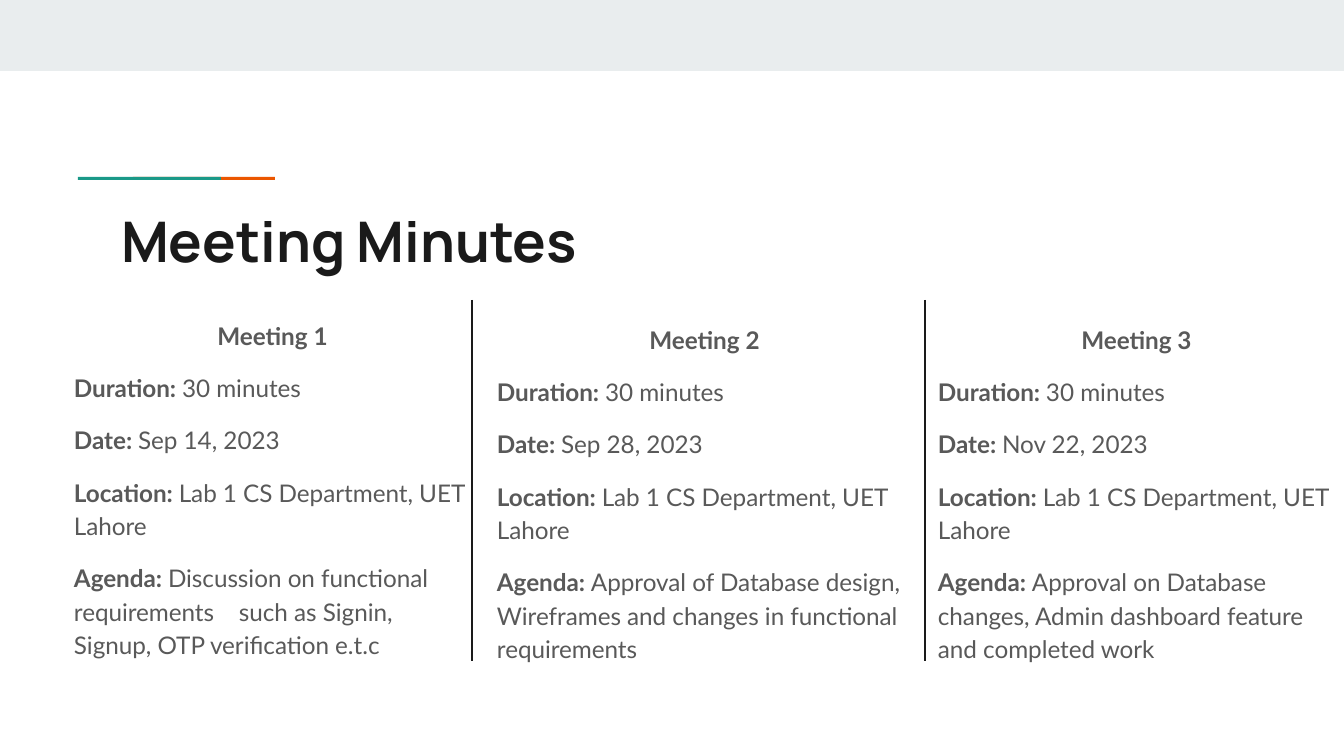
from dataclasses import dataclass

from lxml import etree
from pptx import Presentation
from pptx.dml.color import RGBColor
from pptx.enum.shapes import MSO_CONNECTOR, MSO_SHAPE
from pptx.enum.text import MSO_ANCHOR, MSO_AUTO_SIZE, PP_ALIGN
from pptx.oxml.ns import qn
from pptx.util import Emu, Pt

RECTANGLE = MSO_SHAPE.RECTANGLE
STRAIGHT = MSO_CONNECTOR.STRAIGHT
TOP = MSO_ANCHOR.TOP
NO_AUTOFIT = MSO_AUTO_SIZE.NONE
LEFT, CENTER = PP_ALIGN.LEFT, PP_ALIGN.CENTER

# Content
TITLE = "Meeting Minutes"
LOCATION = "Lab 1 CS Department, UET Lahore"
MEETINGS = [
    ("30 minutes", "Sep 14, 2023", LOCATION,
     "Discussion on functional requirements\tsuch as Signin, "
     "Signup, OTP verification e.t.c"),
    ("30 minutes", "Sep 28, 2023", LOCATION,
     "Approval of Database design, Wireframes and changes in "
     "functional requirements"),
    ("30 minutes", "Nov 22, 2023", LOCATION,
     "Approval on Database changes, Admin dashboard feature "
     "and completed work"),
]
LABELS = ("Duration", "Date", "Location", "Agenda")


@dataclass(frozen=True)
class Theme:
    band: str = "E9EDEE"
    orange: str = "EB5600"
    teal: str = "1A9988"
    dark: str = "1A1A1A"
    body: str = "595959"
    title_font: str = "Manrope"
    body_font: str = "Lato"
    title_size: int = 30
    body_size: int = 13
    line_width: float = 0.75


THEME = Theme()

# Layout in px: left, top, width, height
WIDTH, HEIGHT = 1344, 756
BAND = (0, 0, WIDTH, 71)
ACCENTS = [((133, 177, 142, 3), THEME.orange), ((78, 177, 143, 3), THEME.teal)]
TITLE_BOX = (108, 194, 1130, 79)
COLUMNS = [(61, 304, 423, 376), (484, 308, 441, 422), (925, 308, 423, 422)]
DIVIDERS = (472, 925)
DIVIDER_TOP, DIVIDER_BOTTOM = 300, 661
INSET = 13
AGENDA_TAB = 165


def px(value):
    return Emu(round(value * 914400 / 134.4))


def box(bounds):
    return [px(value) for value in bounds]


def style(font, name, size, color, bold):
    font.name, font.size, font.bold = name, Pt(size), bold
    font.color.rgb = RGBColor.from_string(color)


def prepare_frame(frame):
    frame.word_wrap = True
    frame.auto_size = NO_AUTOFIT
    frame.vertical_anchor = TOP
    frame.margin_left = frame.margin_right = px(INSET)
    frame.margin_top = frame.margin_bottom = px(INSET)


def add_bar(slide, bounds, color):
    bar = slide.shapes.add_shape(RECTANGLE, *box(bounds))
    bar.shadow.inherit = False
    bar.fill.solid()
    bar.fill.fore_color.rgb = RGBColor.from_string(color)
    bar.line.fill.background()


def add_run(paragraph, text, bold):
    run = paragraph.add_run()
    run.text = text
    style(run.font, THEME.body_font, THEME.body_size, THEME.body, bold)


def add_tab_stop(paragraph, position):
    properties = paragraph._p.get_or_add_pPr()
    tabs = etree.SubElement(properties, qn("a:tabLst"))
    etree.SubElement(tabs, qn("a:tab"), pos=str(px(position)), algn="l")


def add_meeting(slide, bounds, number, values):
    frame = slide.shapes.add_textbox(*box(bounds)).text_frame
    prepare_frame(frame)
    heading = frame.paragraphs[0]
    heading.alignment = CENTER
    heading.line_spacing = 1.15
    add_run(heading, f"Meeting {number}", True)
    for label, value in zip(LABELS, values):
        paragraph = frame.add_paragraph()
        paragraph.alignment = LEFT
        paragraph.line_spacing = 1.15
        paragraph.space_before = Pt(10)
        if "\t" in value:
            add_tab_stop(paragraph, AGENDA_TAB)
        add_run(paragraph, f"{label}: ", True)
        add_run(paragraph, value, False)


def add_divider(slide, x):
    line = slide.shapes.add_connector(
        STRAIGHT, px(x), px(DIVIDER_TOP), px(x), px(DIVIDER_BOTTOM))
    line.line.color.rgb = RGBColor.from_string(THEME.dark)
    line.line.width = Pt(THEME.line_width)
    etree.SubElement(line._element.spPr, qn("a:effectLst"))


def main():
    presentation = Presentation()
    presentation.slide_width, presentation.slide_height = px(WIDTH), px(HEIGHT)
    slide = presentation.slides.add_slide(presentation.slide_layouts[5])

    # Top band and accent line
    add_bar(slide, BAND, THEME.band)
    for bounds, color in ACCENTS:
        add_bar(slide, bounds, color)

    # Title
    title = slide.shapes.title
    title.left, title.top, title.width, title.height = box(TITLE_BOX)
    prepare_frame(title.text_frame)
    title.text_frame.text = TITLE
    paragraph = title.text_frame.paragraphs[0]
    paragraph.alignment = LEFT
    style(paragraph.runs[0].font, THEME.title_font, THEME.title_size,
          THEME.dark, True)

    # Meeting columns and dividers
    for number, (bounds, values) in enumerate(zip(COLUMNS, MEETINGS), 1):
        add_meeting(slide, bounds, number, values)
    for x in DIVIDERS:
        add_divider(slide, x)

    presentation.save("out.pptx")


if __name__ == "__main__":
    main()
